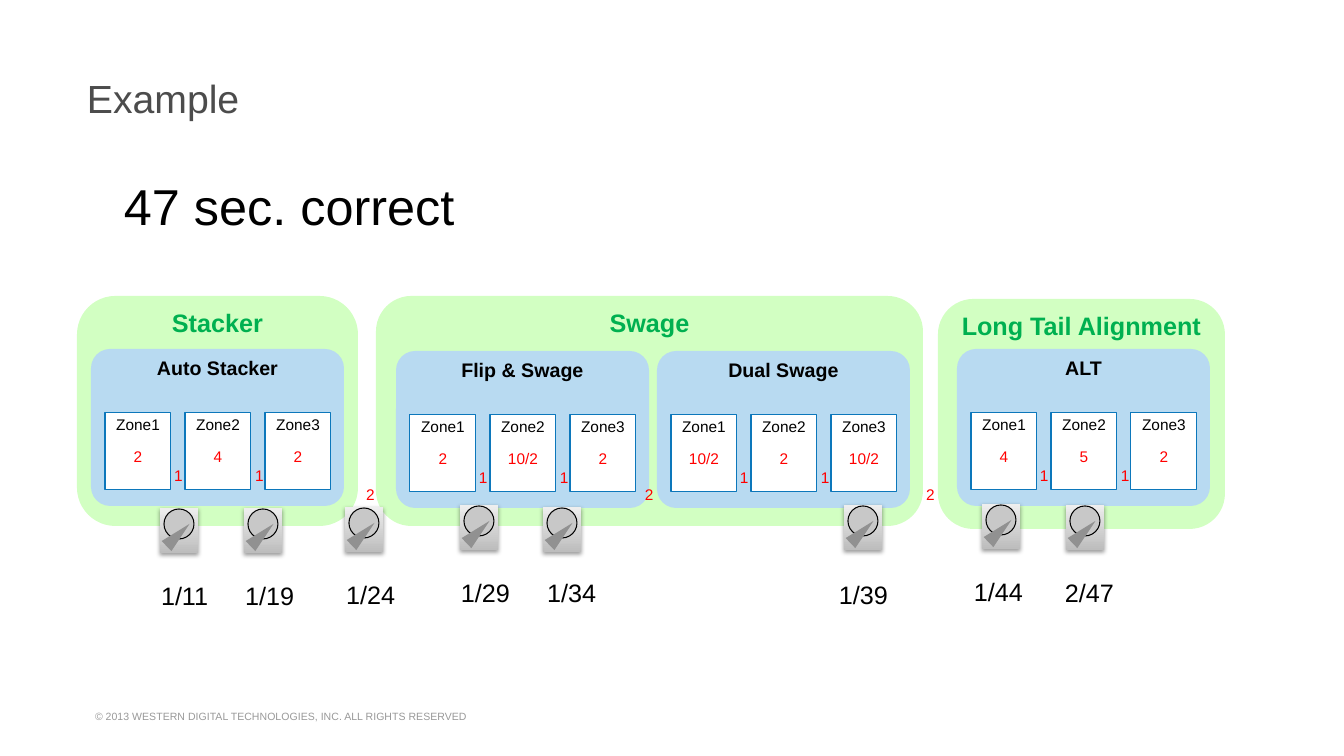
from dataclasses import dataclass

from lxml.etree import SubElement
from pptx import Presentation
from pptx.dml.color import RGBColor
from pptx.enum.shapes import MSO_SHAPE as Preset
from pptx.enum.text import MSO_ANCHOR as Anchor, PP_ALIGN as Align
from pptx.oxml.ns import qn
from pptx.util import Pt


@dataclass(frozen=True)
class Theme:
    font: str = "Arial"
    black: str = "000000"
    white: str = "FFFFFF"
    title: str = "4C4C4C"
    footer: str = "999999"
    station: str = "D2FFC2"
    station_name: str = "00B050"
    machine: str = "B8DAF1"
    zone_edge: str = "0C77BB"
    seconds: str = "FF0000"
    plate_bottom: str = "BDBDBD"
    plate_top: str = "EEEEEE"
    platter: str = "C8C8C8"
    arm: str = "919191"
    footer_size: float = 7.5
    zone_size: int = 11
    machine_size: int = 14
    label_size: int = 18
    title_size: int = 28
    headline_size: int = 36


theme = Theme()
PX = 914400 / 100.8

deck = Presentation()
deck.slide_width, deck.slide_height = round(1344 * PX), round(756 * PX)
slide = deck.slides.add_slide(deck.slide_layouts[6])


def draw(preset, box, fill, edge=None, parent=slide.shapes):
    shape = parent.add_shape(preset, *[round(n * PX) for n in box])
    shape.shadow.inherit = False
    shape.fill.solid()
    shape.fill.fore_color.rgb = RGBColor.from_string(fill)
    if edge:
        shape.line.color.rgb = RGBColor.from_string(edge)
        shape.line.width = Pt(0.75)
    else:
        shape.line.fill.background()
    return shape


def write(text, box=None, host=None, size=theme.label_size, color=theme.black, bold=False,
          align=Align.LEFT, anchor=Anchor.TOP, inset=(10, 5), wrap=False, spacing=1.0, before=0):
    host = host or slide.shapes.add_textbox(*[round(n * PX) for n in box])
    frame = host.text_frame
    frame.word_wrap = wrap
    frame.vertical_anchor = anchor
    frame.margin_left = frame.margin_right = round(inset[0] * PX)
    frame.margin_top = frame.margin_bottom = round(inset[1] * PX)
    paragraph = frame.add_paragraph() if frame.text else frame.paragraphs[0]
    paragraph.text = text
    paragraph.alignment = align
    paragraph.line_spacing = spacing
    if before:
        paragraph.space_before = Pt(before)
    paragraph.font.name = theme.font
    paragraph.font.size = Pt(size)
    paragraph.font.bold = bold
    paragraph.font.color.rgb = RGBColor.from_string(color)


in_shape = dict(align=Align.CENTER, inset=(9, 4), wrap=True, spacing=0.9)
transfer = dict(size=theme.zone_size, color=theme.seconds)

write("© 2013 WESTERN DIGITAL TECHNOLOGIES, INC. ALL RIGHTS RESERVED", (89, 688, 543, 41),
      size=theme.footer_size, color=theme.footer, anchor=Anchor.BOTTOM, inset=(6, 6), wrap=True)
write("Example", (77, 71, 1183, 59), size=theme.title_size, color=theme.title,
      anchor=Anchor.MIDDLE, wrap=True, spacing=0.9)
write("47 sec. correct", (114, 170, 354, 72), size=theme.headline_size)

stations = [
    ("Long Tail Alignment", 938, 299, 287, 0.154),
    ("Swage", 376, 296, 547, 0.154),
    ("Stacker", 77, 296, 281, 0.167),
]
for name, left, top, width, rounding in stations:
    station = draw(Preset.ROUNDED_RECTANGLE, (left, top, width, 230), theme.station)
    station.adjustments[0] = rounding
    write(name, host=station, color=theme.station_name, bold=True, **in_shape)

machines = [
    ("Auto Stacker", 91, 349, ["2", "4", "2"]),
    ("Flip & Swage", 396, 351, ["2", "10/2", "2"]),
    ("Dual Swage", 657, 351, ["10/2", "2", "10/2"]),
    ("ALT", 957, 349, ["4", "5", "2"]),
]
for name, left, top, zone_times in machines:
    machine = draw(Preset.ROUNDED_RECTANGLE, (left, top, 253, 157), theme.machine)
    machine.adjustments[0] = 0.122
    write(name, host=machine, size=theme.machine_size, bold=True, **in_shape)
    for index, zone_time in enumerate(zone_times):
        zone = draw(Preset.RECTANGLE, (left + 14 + 80 * index, top + 64, 66, 77),
                    theme.white, theme.zone_edge)
        write(f"Zone{index + 1}", host=zone, size=theme.zone_size, **in_shape)
        write(zone_time, host=zone, before=11, **transfer, **in_shape)
    for index in range(2):
        write("1", (left + 73 + 81 * index, top + 112, 29, 29), **transfer)

for left in (356, 635, 916):
    write("2", (left, 480, 29, 29), **transfer)

disks = [
    ("1/11", 160, 508, 151, 575),
    ("1/19", 244, 508, 235, 575),
    ("1/24", 345, 507, 336, 574),
    ("1/29", 460, 505, 451, 572),
    ("1/34", 543, 507, 537, 572),
    ("1/39", 844, 505, 829, 574),
    ("1/44", 982, 504, 964, 571),
    ("2/47", 1066, 505, 1055, 572),
]
for count, left, top, count_left, count_top in disks:
    disk = slide.shapes.add_group_shape().shapes
    plate = draw(Preset.RECTANGLE, (left, top, 38, 45), theme.plate_top, parent=disk)
    plate.fill.gradient()
    plate.fill.gradient_angle = 90
    for stop, color in zip(plate.fill.gradient_stops, (theme.plate_bottom, theme.plate_top)):
        stop.color.rgb = RGBColor.from_string(color)
    effects = plate.element.spPr.find(qn("a:effectLst"))
    shadow = SubElement(effects, qn("a:outerShdw"), blurRad=str(Pt(3.1)), dist=str(Pt(1.6)),
                        dir="5400000", rotWithShape="0")
    shade = SubElement(shadow, qn("a:srgbClr"), val=theme.black)
    SubElement(shade, qn("a:alpha"), val="38000")
    draw(Preset.OVAL, (left + 4, top + 1, 30, 30), theme.platter, theme.black, disk)
    arm = draw(Preset.ISOSCELES_TRIANGLE, (left + 11, top + 11, 14, 32), theme.arm, parent=disk)
    arm.rotation = 46.1
    write(count, (count_left, count_top, 69, 40))

deck.save("out.pptx")
